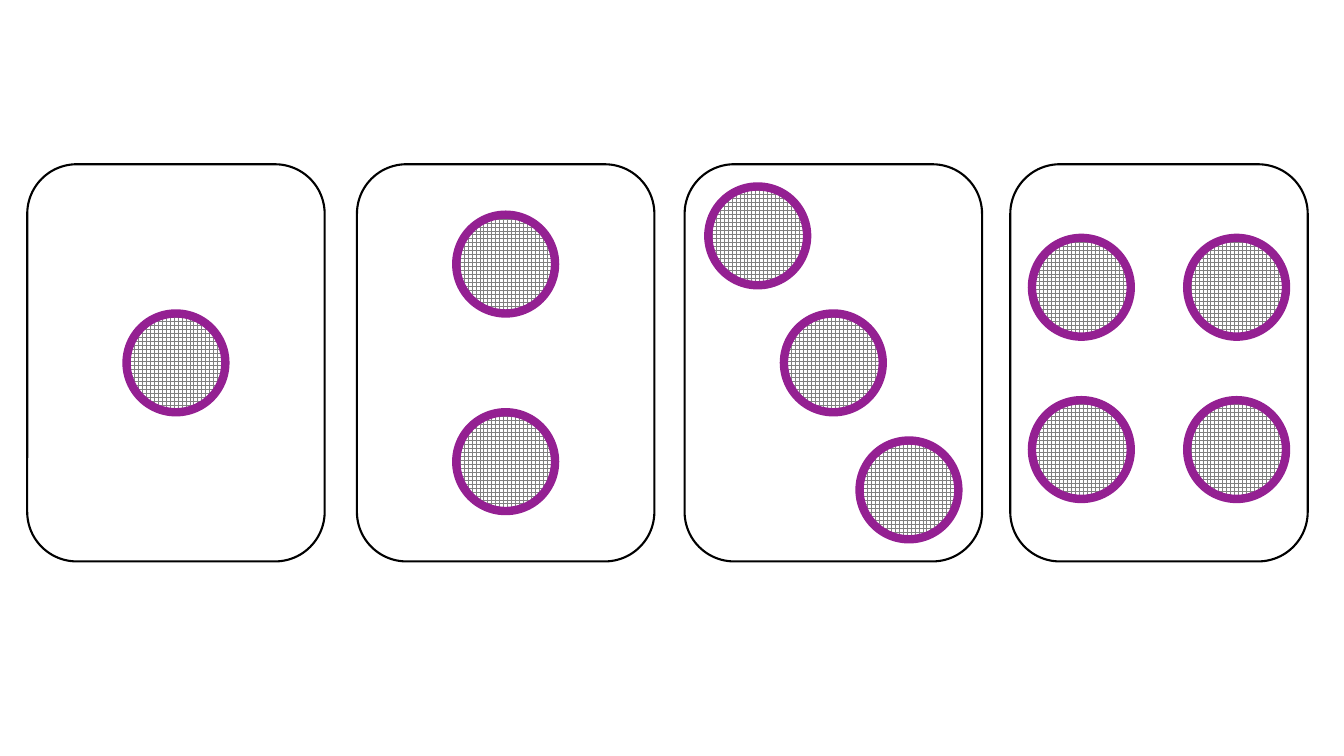
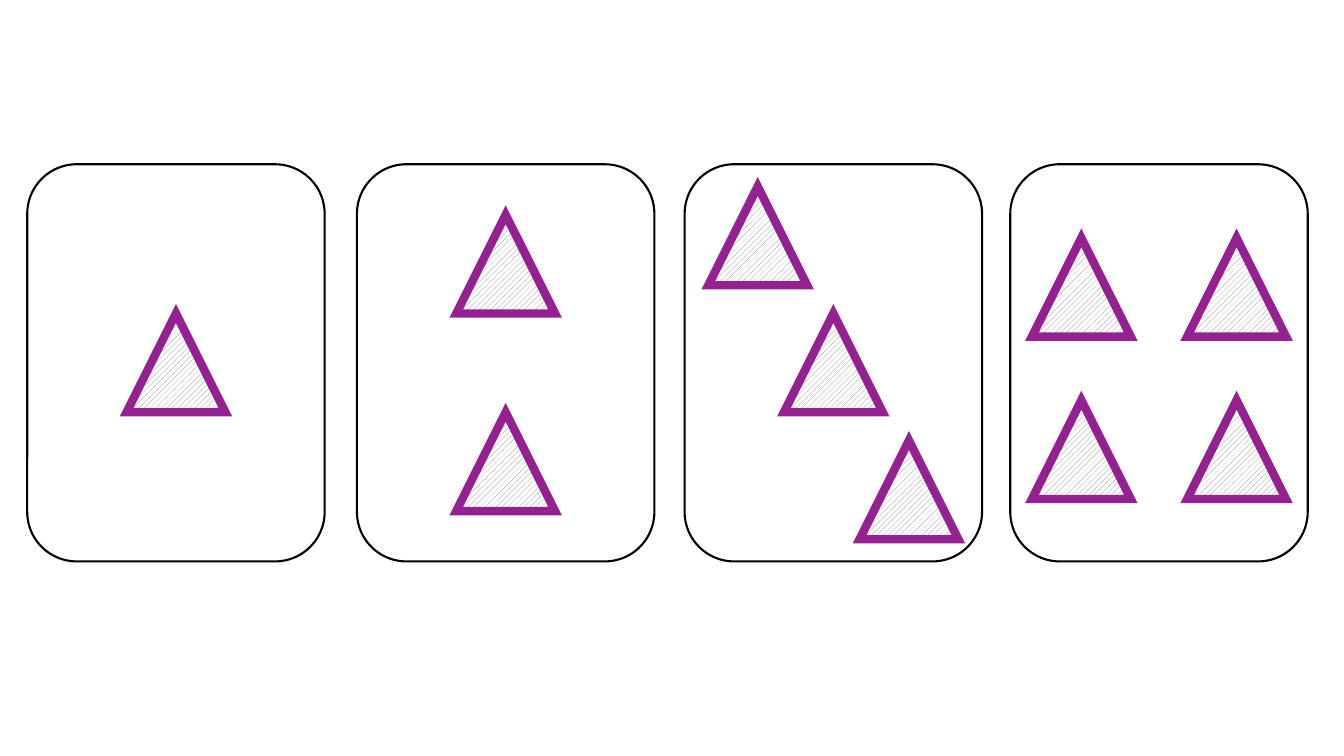
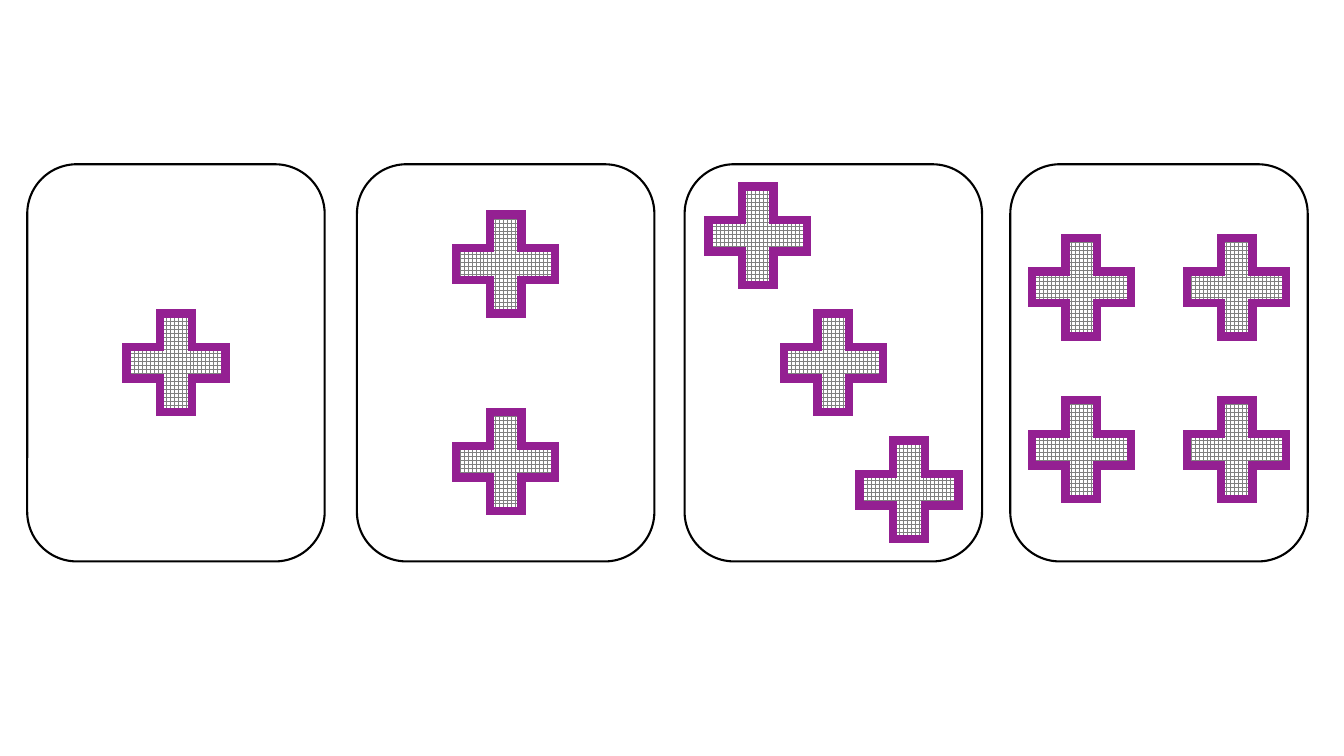
from dataclasses import dataclass

from lxml.etree import SubElement
from pptx import Presentation
from pptx.dml.color import RGBColor
from pptx.enum.dml import MSO_PATTERN as Pattern
from pptx.enum.shapes import MSO_SHAPE as Shape
from pptx.oxml.ns import qn
from pptx.shapes.autoshape import Shape as AutoShape
from pptx.slide import Slide
from pptx.util import Inches, Pt

COLORS = {"card": "FFFFFF", "border": "000000", "outline": "942092", "hatch": "808080"}

CARD_TOP, CARD_W, CARD_H = 1.63, 2.95, 3.94
CARD_MIDDLE = CARD_TOP + CARD_H / 2
SYMBOL_SIZE = 0.98


@dataclass(frozen=True)
class Card:
    """A card's left edge and the offsets of its symbols from its centre."""
    left: float
    offsets: tuple[tuple[float, float], ...]


@dataclass(frozen=True)
class Symbol:
    shape: Shape
    pattern: Pattern
    adjustment: float | None = None


CARDS = (
    Card(0.27, ((0, 0),)),
    Card(3.54, tuple((0, dy) for dy in (-0.98, 0.98))),
    Card(6.79, tuple((0.75 * i, 1.26 * i) for i in (-1, 0, 1))),
    Card(10.02, tuple((dx, dy) for dy in (-0.75, 0.86) for dx in (-0.77, 0.77))),
)

SYMBOLS = (
    Symbol(Shape.OVAL, Pattern.LARGE_GRID),
    Symbol(Shape.ISOSCELES_TRIANGLE, Pattern.WIDE_UPWARD_DIAGONAL),
    Symbol(Shape.CROSS, Pattern.LARGE_GRID, 0.34),
)


def rgb(name: str) -> RGBColor:
    return RGBColor.from_string(COLORS[name])


def add_outlined(s: Slide, kind: Shape, left: float, top: float, width: float,
                 height: float, line: str, weight: float) -> AutoShape:
    """Add a shape with a sharp-cornered outline and no shadow."""
    sp = s.shapes.add_shape(kind, Inches(left), Inches(top), Inches(width), Inches(height))
    sp.shadow.inherit = False
    sp.line.color.rgb = rgb(line)
    sp.line.width = Pt(weight)
    SubElement(sp.line._get_or_add_ln(), qn("a:miter"), lim="800000")
    return sp


def add_symbol(s: Slide, symbol: Symbol, x: float, y: float) -> None:
    """Add a hatched symbol centred on x, y."""
    half = SYMBOL_SIZE / 2
    sp = add_outlined(s, symbol.shape, x - half, y - half, SYMBOL_SIZE, SYMBOL_SIZE,
                      "outline", 6)
    if symbol.adjustment is not None:
        sp.adjustments[0] = symbol.adjustment
    sp.fill.patterned()
    sp.fill.pattern = symbol.pattern
    sp.fill.fore_color.rgb = rgb("hatch")
    sp.fill.back_color.rgb = rgb("card")


def add_card(s: Slide, card: Card, symbol: Symbol) -> None:
    sp = add_outlined(s, Shape.ROUNDED_RECTANGLE, card.left, CARD_TOP, CARD_W, CARD_H,
                      "border", 1.5)
    sp.fill.solid()
    sp.fill.fore_color.rgb = rgb("card")
    for dx, dy in card.offsets:
        add_symbol(s, symbol, card.left + CARD_W / 2 + dx, CARD_MIDDLE + dy)


def main() -> None:
    prs = Presentation()
    prs.slide_width, prs.slide_height = Inches(13.33), Inches(7.5)
    blank = prs.slide_layouts[6]
    for symbol in SYMBOLS:
        s = prs.slides.add_slide(blank)
        for card in CARDS:
            add_card(s, card, symbol)
    prs.save("out.pptx")


if __name__ == "__main__":
    main()
